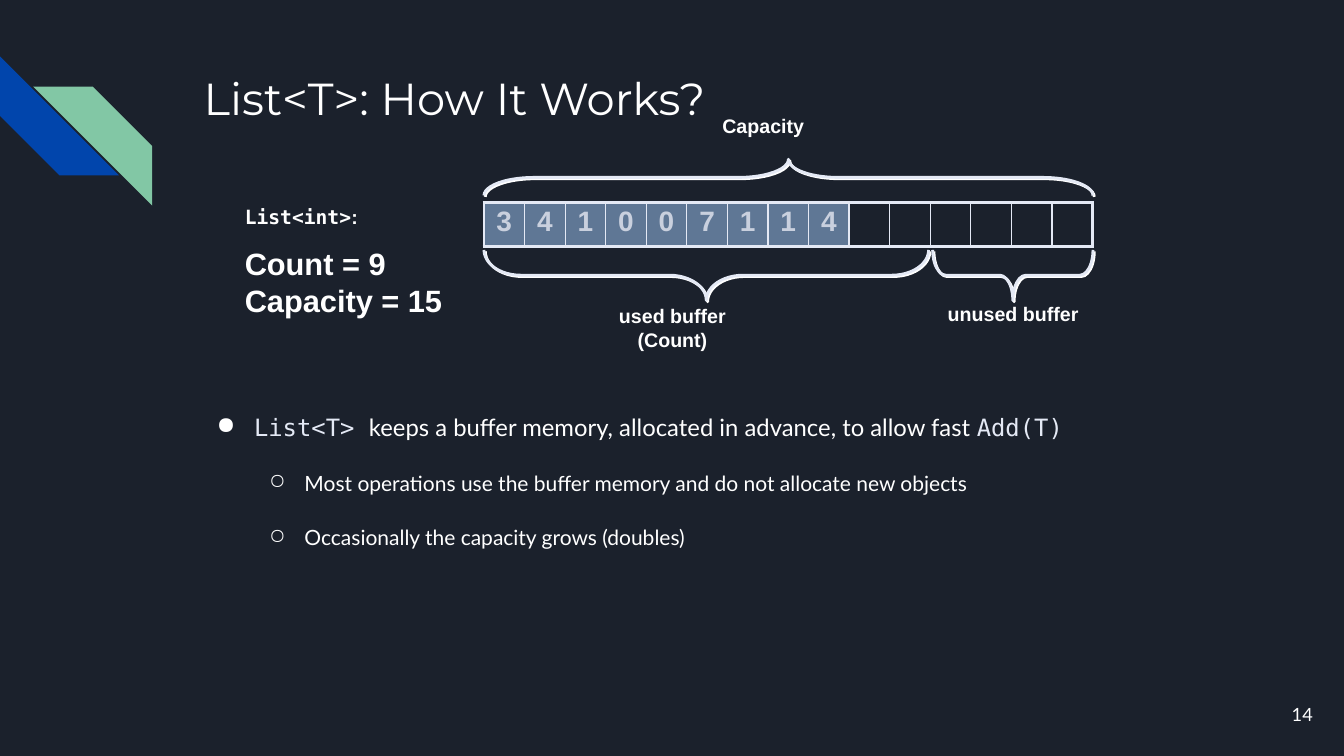
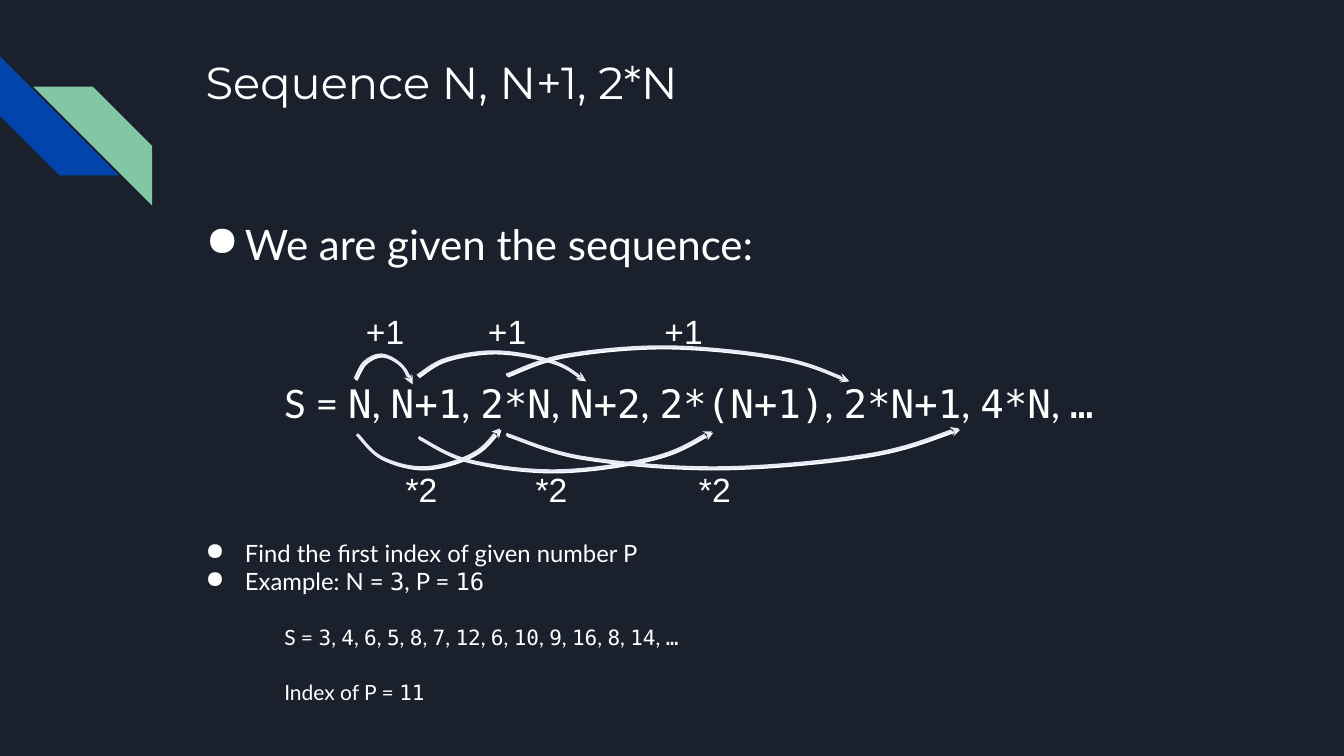
from lxml import etree
from pptx import Presentation
from pptx.dml.color import RGBColor
from pptx.enum.shapes import MSO_SHAPE
from pptx.enum.text import MSO_ANCHOR, PP_ALIGN
from pptx.oxml.ns import qn
from pptx.util import Inches, Pt

STRIPE, BRACE = MSO_SHAPE.DIAGONAL_STRIPE, MSO_SHAPE.LEFT_BRACE
LEFT, CENTER, RIGHT = PP_ALIGN.LEFT, PP_ALIGN.CENTER, PP_ALIGN.RIGHT
TOP, MIDDLE = MSO_ANCHOR.TOP, MSO_ANCHOR.MIDDLE

NIGHT, BLUE, GREEN = "1B212C", "0145AC", "82C7A5"
WHITE, PALE, DIGIT, USED = "FFFFFF", "E4E9F5", "C9D0DE", "A3CDFF"
HEAD, BODY, CODE, LABEL = "Montserrat", "Lato", "DejaVu Sans Mono", "Arial"

# Share of width and height at each point of an arc
ARC_X = (0, 0.17, 0.47, 0.8, 1)
ARC_Y = (0.85, 0.26, 0, 0.33, 1)


def rgb(color):
    return RGBColor.from_string(color)


def child(parent, tag, **attrs):
    return etree.SubElement(parent, qn(tag), {k: str(v) for k, v in attrs.items()})


def text_box(slide, left, top, width, height, inset=0.13, anchor=TOP):
    box = slide.shapes.add_textbox(*map(Inches, (left, top, width, height)))
    frame = box.text_frame
    frame.word_wrap = True
    frame.vertical_anchor = anchor
    frame.margin_left = frame.margin_right = Inches(inset)
    frame.margin_top = frame.margin_bottom = Inches(min(inset, 0.13))
    return frame


def style(para, size, font=None, color=WHITE, bold=False, align=LEFT):
    para.alignment = align
    para.font.size = Pt(size)
    para.font.color.rgb = rgb(color)
    para.font.bold = bold
    if font:
        para.font.name = font


def add_para(frame):
    first = frame.paragraphs[0]
    return frame.add_paragraph() if first.runs else first


def add_rich(frame, text, size, before=0, indent=0, hang=0, bullet=None,
             font=BODY, code_color=WHITE, bold=False):
    """Add a paragraph in which text between backticks is set as code."""
    para = add_para(frame)
    para.space_before = Pt(before)
    props = para._p.get_or_add_pPr()
    props.set("marL", str(Inches(indent)))
    props.set("indent", str(-Inches(hang)))
    if bullet:
        child(child(props, "a:buClr"), "a:srgbClr", val=WHITE)
        child(props, "a:buChar", char=bullet)
    style(para, size, bold=bold)
    for i, part in enumerate(text.split("`")):
        if part:
            run = para.add_run()
            run.text = part
            run.font.name = CODE if i % 2 else font
            if i % 2:
                run.font.color.rgb = rgb(code_color)


def label(slide, mid, top, width, lines, size=14, bold=True):
    frame = text_box(slide, mid - width / 2, top, width, 0.3 * len(lines), 0.05)
    for line in lines:
        para = add_para(frame)
        para.text = line
        style(para, size, LABEL, bold=bold, align=CENTER)


def add_stripe(slide, left, top, color):
    stripe = slide.shapes.add_shape(STRIPE, *map(Inches, (left, top, 1.18, 1.18)))
    stripe.adjustments[0] = 0.5
    stripe.shadow.inherit = False
    stripe.fill.solid()
    stripe.fill.fore_color.rgb = rgb(color)
    stripe.line.fill.background()
    return stripe


def add_base(deck, title, left, top):
    slide = deck.slides.add_slide(deck.slide_layouts[6])
    slide.background.fill.solid()
    slide.background.fill.fore_color.rgb = rgb(NIGHT)
    add_stripe(slide, 0, 0.56, BLUE).rotation = 270
    green = add_stripe(slide, 0.33, 0.86, GREEN)
    green._element.spPr.xfrm.set("flipH", "1")
    para = text_box(slide, left, top, 10.26, 1.33).paragraphs[0]
    para.text = title
    style(para, 32, HEAD)
    return slide


def ink(shape):
    """Give an unfilled outline its pale line and hard white shadow."""
    shape.fill.background()
    shape.line.color.rgb = rgb(PALE)
    shape.line.width = Pt(2)
    shape.shadow.inherit = False
    effects = shape._element.spPr.find(qn("a:effectLst"))
    shadow = child(effects, "a:outerShdw", dist=Pt(1.4), dir=45 * 60000, rotWithShape=0)
    child(shadow, "a:srgbClr", val=WHITE)


def add_brace(slide, left, top, width, height, curve, up=False):
    """Lay a brace flat in the box, pointing down unless up is set."""
    x, y = left + (width - height) / 2, top + (height - width) / 2
    brace = slide.shapes.add_shape(BRACE, *map(Inches, (x, y, height, width)))
    brace.adjustments[0] = curve
    brace.adjustments[1] = 0.5
    brace.rotation = 90 if up else 270
    if up:
        brace._element.spPr.xfrm.set("flipV", "1")
    ink(brace)


def add_border(cell, sides):
    props = cell._tc.get_or_add_tcPr()
    for i, (side, width) in enumerate(sides.items()):
        line = etree.Element(qn("a:ln" + side), w=str(Pt(width)))
        child(child(line, "a:solidFill"), "a:srgbClr", val=PALE)
        props.insert(i, line)


def add_cells(slide, left, top, width, height, digits, count):
    table = slide.shapes.add_table(
        1, count, *map(Inches, (left, top, width, height))).table
    table.first_row = table.horz_banding = False
    for i in range(count):
        table.columns[i].width = Inches(width / count)
        cell = table.cell(0, i)
        para = cell.text_frame.paragraphs[0]
        para.line_spacing = 0.95
        if i < len(digits):
            para.text = digits[i]
            cell.fill.solid()
            cell.fill.fore_color.rgb = rgb(USED)
            shade = cell._tc.tcPr.find(".//" + qn("a:srgbClr"))
            child(shade, "a:alpha", val=50000)
        else:
            cell.fill.background()
        style(para, 20, LABEL, DIGIT, True, CENTER)
        add_border(cell, {"L": 1 if i else 2.25, "R": 1 if i < count - 1 else 2.25,
                          "T": 2.25, "B": 2.25})


def add_buffer(slide, left, top, width, height):
    add_cells(slide, left, top, width, height, "341007114", 15)
    below, split = top + height + 0.05, 4.45
    add_brace(slide, left, top - 0.43, width, 0.36, 1.38, up=True)
    add_brace(slide, left, below, split - 0.04, 0.5, 0.73)
    add_brace(slide, left + split, below, width - split, 0.5, 0.26)
    label(slide, left + 2.77, top - 0.93, 1.2, ["Capacity"])
    label(slide, left + 1.87, below + 0.49, 1.5, ["used buffer", "(Count)"])
    label(slide, left + 5.25, below + 0.47, 1.67, ["unused buffer"])


def add_arc(slide, left, top, width, height, below):
    """Draw a smooth arrow through the arc points, hanging if below."""
    points = [(left + width * x, top + height * (1 - y if below else y))
              for x, y in zip(ARC_X, ARC_Y)]
    ends = [points[0], *points, points[-1]]
    path = []
    for a, b, c, d in zip(ends, ends[1:], ends[2:], ends[3:]):
        path += [tuple(q + (r - p) / 6 for p, q, r in zip(a, b, c)),
                 tuple(r - (s - q) / 6 for q, r, s in zip(b, c, d)), c]
    pen = slide.shapes.build_freeform(*map(Inches, points[0]))
    pen.add_line_segments([tuple(map(Inches, p)) for p in path], close=False)
    arc = pen.convert_to_shape()
    steps = list(arc._element.iter(qn("a:lnTo")))
    for i in range(0, len(steps), 3):
        curve = etree.Element(qn("a:cubicBezTo"))
        steps[i].addprevious(curve)
        for step in steps[i:i + 3]:
            curve.append(step[0])
            step.getparent().remove(step)
    ink(arc)
    child(arc._element.spPr.find(qn("a:ln")), "a:tailEnd", type="stealth")


def add_jumps(slide, left, top):
    """Draw the +1 arrows over the sequence and the *2 arrows under it."""
    jumps = [  # text, middle of text, then left, top, width, height of arc
        ("+1", 0.32, 0.02, 0.48, 0.56, 0.28), ("*2", 0.68, 0.04, 1.21, 1.42, 0.39),
        ("+1", 1.53, 0.64, 0.45, 1.66, 0.28), ("*2", 1.97, 0.65, 1.24, 2.91, 0.39),
        ("+1", 3.28, 1.52, 0.4, 3.39, 0.33), ("*2", 3.59, 1.52, 1.21, 4.49, 0.39),
    ]
    for text, mid, x, y, width, height in jumps:
        below = text == "*2"
        add_arc(slide, left + x, top + y, width, height, below)
        label(slide, left + mid, top + (1.56 if below else 0), 0.8, [text], 24, False)


def join_code(items):
    return ", ".join(f"`{item}`" for item in items)


def add_list(deck):
    slide = add_base(deck, "List<T>: How It Works?", 1.89, 0.57)
    body = text_box(slide, 1.89, 3.96, 10.26, 2.57)
    add_rich(body, "`List<T> `keeps a buffer memory, allocated in advance, "
             "to allow fast `Add(T)`", 17, 0, 0.5, 0.37, "●", code_color=PALE)
    for text in ("Most operations use the buffer memory and do not allocate new objects",
                 "Occasionally the capacity grows (doubles)"):
        add_rich(body, text, 15, 21, 1, 0.35, "○")
    page = text_box(slide, 12.35, 6.8, 0.8, 0.57, anchor=MIDDLE).paragraphs[0]
    page.text = "14"
    style(page, 13, BODY, align=RIGHT)
    add_buffer(slide, 4.8, 2.01, 6.04, 0.42)
    info = text_box(slide, 2.33, 1.93, 2.4, 1.25, 0.1)
    for text, size, before in (("`List<int>`:", 14, 0), ("Count = 9", 22, 12),
                               ("Capacity = 15", 22, 0)):
        add_rich(info, text, size, before, font=LABEL, bold=True)


def add_sequence(deck):
    slide = add_base(deck, "Sequence N, N+1, 2*N", 1.91, 0.41)
    body = text_box(slide, 1.91, 2.04, 10.26, 5.21)
    terms = ["N", "N+1", "2*N", "N+2", "2*(N+1)", "2*N+1", "4*N", "…"]
    values = [3, 4, 6, 5, 8, 7, 12, 6, 10, 9, 16, 8, 14, "…"]
    point, inner = (0.39, 0.39, "●"), (1.27, 0.49)
    add_rich(body, "We are given the sequence:", 30, 0, *point)
    add_rich(body, "S = " + join_code(terms), 28, 78.6, *inner)
    add_rich(body, "Find the first index of given number P", 17, 80, *point)
    add_rich(body, "Example: N = `3`, P = `16`", 17, 0, *point)
    add_rich(body, "S = " + join_code(values), 15, 21, *inner)
    add_rich(body, "Index of P = `11`", 15, 21, *inner)
    add_jumps(slide, 3.5, 3.04)


def main():
    deck = Presentation()
    deck.slide_width, deck.slide_height = Inches(13.33), Inches(7.5)
    add_list(deck)
    add_sequence(deck)
    deck.save("out.pptx")


if __name__ == "__main__":
    main()
